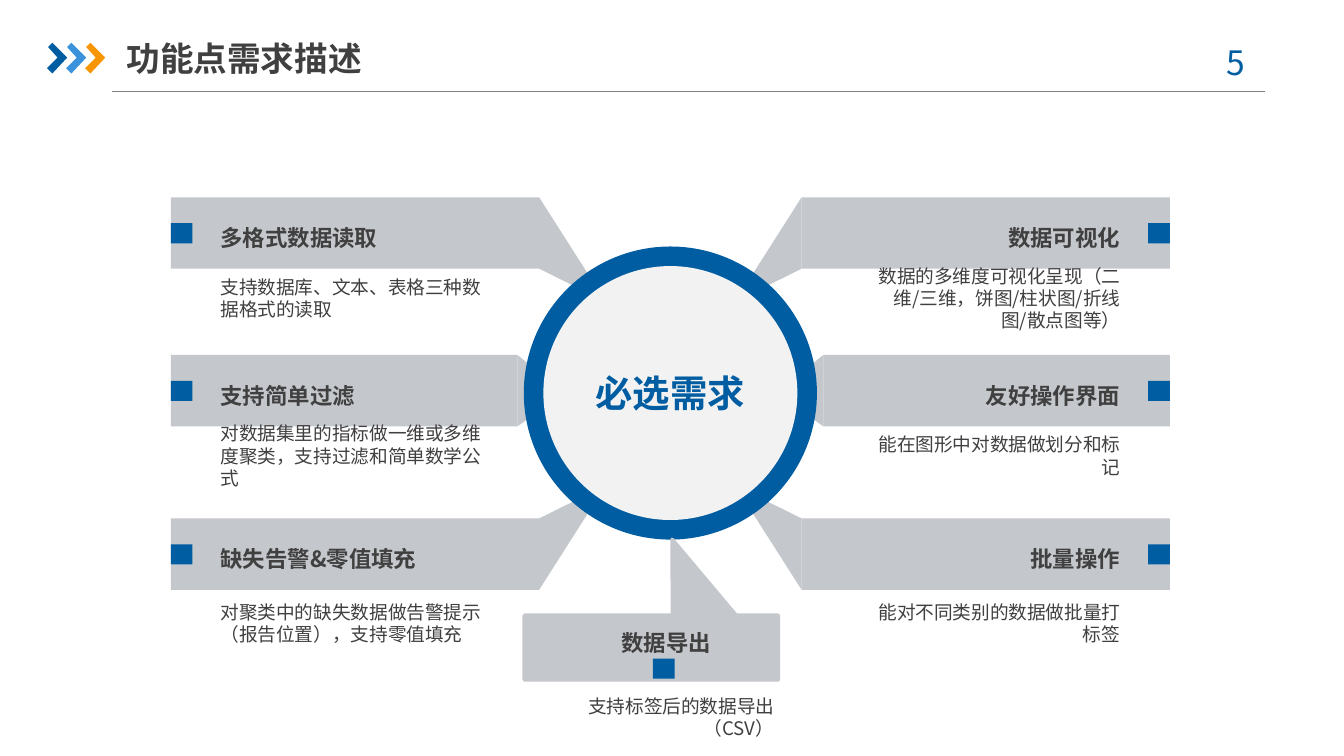
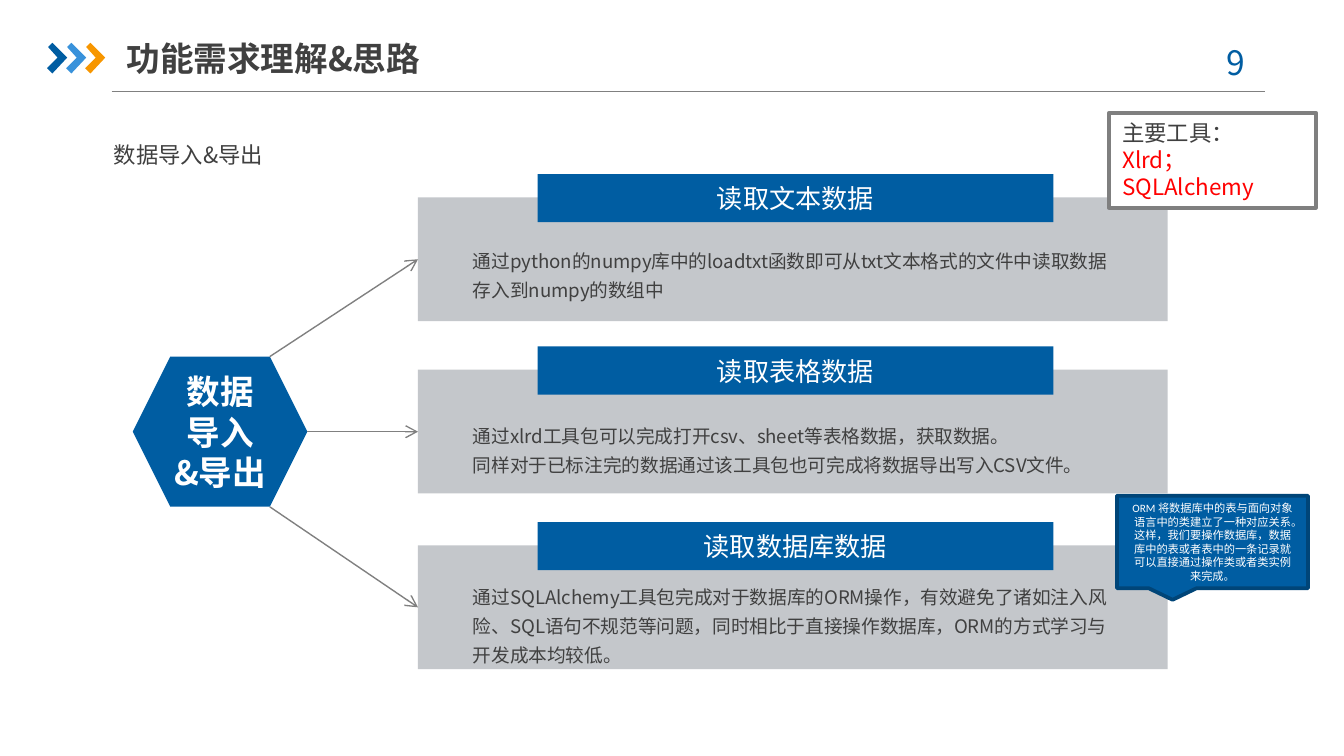
import pptx
import pptx.dml.color
import pptx.enum.shapes
import pptx.enum.text
import pptx.oxml.ns
import pptx.util
from lxml import etree

Cm, Pt = pptx.util.Cm, pptx.util.Pt
SHAPE = pptx.enum.shapes.MSO_SHAPE
ALIGN = pptx.enum.text.PP_ALIGN
ANCHOR = pptx.enum.text.MSO_ANCHOR
qn = pptx.oxml.ns.qn

COLORS = {
    "blue": "005DA2", "sky": "3992DB", "orange": "F79600", "navy": "004578",
    "silver": "C4C7CB", "pale": "F2F2F2", "ink": "404040", "rule": "808080",
    "frame": "7F7F7F", "red": "FF0000", "white": "FFFFFF",
}
FONT = "Noto Sans CJK SC"
FLUSH = (0, 0.13, 0, 0.13)
TIGHT = (0.05, 0.1, 0.05, 0.1)
SNUG = (0.2, 0.1, 0.2, 0.1)
ROOMY = (0.25, 0.13, 0.25, 0.13)

AXIS = 12.67  # vertical line the requirement map is mirrored on
BAR_LEFT, BAR_HEIGHT = 3.23, 1.35
MARK = (0.41, 0.38)
UPPER_WING = [(0, 0), (1.07, 1.68), (0.91, 1.8), (0, BAR_HEIGHT)]
MIDDLE_WING = [(0, 0), (0.71, 0.58), (0.71, 0.84), (0, BAR_HEIGHT)]
LOWER_WING = [(x, BAR_HEIGHT - y) for x, y in UPPER_WING]

# top, bar width, wing, offset of the detail, left and right (heading, detail)
REQUIREMENTS = [
    (3.73, 6.96, UPPER_WING, 1.73,
     ("多格式数据读取", "支持数据库、文本、表格三种数据格式的读取"),
     ("数据可视化", "数据的多维度可视化呈现（二维/三维，饼图/柱状图/折线图/散点图等）")),
    (6.71, 6.55, MIDDLE_WING, 1.73,
     ("支持简单过滤", "对数据集里的指标做一维或多维度聚类，支持过滤和简单数学公式"),
     ("友好操作界面", "能在图形中对数据做划分和标记")),
    (9.8, 6.96, LOWER_WING, 1.8,
     ("缺失告警&零值填充", "对聚类中的缺失数据做告警提示（报告位置），支持零值填充"),
     ("批量操作", "能对不同类别的数据做批量打标签")),
]

# top, offset of the body, heading, body
READERS = [
    (3.73, 0.77, "读取文本数据",
     ["通过python的numpy库中的loadtxt函数即可从txt文本格式的文件中读取数据存入到numpy的数组中"]),
    (6.99, 0.81, "读取表格数据",
     ["通过xlrd工具包可以完成打开csv、sheet等表格数据，获取数据。",
      "同样对于已标注完的数据通过该工具包也可完成将数据导出写入CSV文件。"]),
    (10.31, 0.53, "读取数据库数据",
     ["通过SQLAlchemy工具包完成对于数据库的ORM操作，有效避免了诸如注入风险、SQL语句不规范等问题，"
      "同时相比于直接操作数据库，ORM的方式学习与开发成本均较低。"]),
]


def rgb(name):
    return pptx.dml.color.RGBColor.from_string(COLORS[name])


def cm(box):
    return [Cm(value) for value in box]


def assign(target, values):
    for key, value in values.items():
        setattr(target, key, value)


def paint(shape, fill, line=None):
    shape.shadow.inherit = False
    shape.fill.solid()
    shape.fill.fore_color.rgb = rgb(fill)
    if line:
        shape.line.color.rgb = rgb(line)
        shape.line.width = Pt(2)
    else:
        shape.line.fill.background()
    return shape


def add_preset(slide, kind, box, fill, line=None):
    return paint(slide.shapes.add_shape(kind, *cm(box)), fill, line)


def add_outline(slide, left, top, points, fill):
    corners = [(Cm(left + x), Cm(top + y)) for x, y in points]
    builder = slide.shapes.build_freeform(*corners[0], scale=1.0)
    builder.add_line_segments(corners[1:], close=True)
    return paint(builder.convert_to_shape(), fill)


def write(shape, lines, size, color="ink", bold=False, font=FONT, insets=ROOMY,
          anchor=ANCHOR.TOP, line_colors=None, **paragraph_format):
    """Fill a shape or text box, one paragraph for each line."""
    frame = shape.text_frame
    sides = ("margin_left", "margin_top", "margin_right", "margin_bottom")
    assign(frame, dict(zip(sides, cm(insets)), word_wrap=True, vertical_anchor=anchor))
    for index, line in enumerate(lines):
        paragraph = frame.paragraphs[0] if index == 0 else frame.add_paragraph()
        assign(paragraph, {"alignment": ALIGN.LEFT, **paragraph_format})
        run = paragraph.add_run()
        run.text = line
        run.font.color.rgb = rgb(line_colors[index] if line_colors else color)
        assign(run.font, {"size": Pt(size), "bold": bold, "name": font})
        etree.SubElement(run._r.get_or_add_rPr(), qn("a:ea"), typeface=FONT)


def add_text(slide, box, lines, size, **style):
    write(slide.shapes.add_textbox(*cm(box)), lines, size, **style)


def add_rule(slide, start, end, arrow=False):
    line = slide.shapes.add_connector(
        pptx.enum.shapes.MSO_CONNECTOR.STRAIGHT, *cm(start + end))
    line.line.color.rgb = rgb("rule")
    line.line.width = Pt(0.75)
    if arrow:
        etree.SubElement(line.line._get_or_add_ln(), qn("a:tailEnd"), type="arrow")
    etree.SubElement(line._element.spPr, qn("a:effectLst"))
    return line


def add_header(slide, title, number):
    chevron = [(0.02, 0.08), (0.1, 0), (0.38, 0.28), (0.1, 0.58), (0, 0.48), (0.2, 0.28)]
    add_rule(slide, (2.11, 1.73), (23.9, 1.73))
    for index, color in enumerate(("blue", "sky", "orange")):
        add_outline(slide, 0.89 + 0.36 * index, 0.81, chevron, color)
    add_text(slide, (22.5, 0.66, 1.85, 1.02), [f"{number} "], 18, color="blue",
             alignment=ALIGN.CENTER)
    add_text(slide, (2.39, 0.56, 5.92, 1.07), [title], 18, bold=True, insets=FLUSH,
             anchor=ANCHOR.MIDDLE)


def add_heading(slide, box, heading, alignment):
    add_text(slide, box, [heading], 12, bold=True, insets=FLUSH,
             alignment=alignment, space_before=Pt(2.4))


def add_detail(slide, box, detail, alignment):
    add_text(slide, box, [detail], 10, insets=FLUSH, anchor=ANCHOR.MIDDLE,
             alignment=alignment, space_before=Pt(2))


def add_requirement(slide, top, bar_width, wing, detail_offset, texts, on_right):
    """Place one arm of the map; the right side mirrors the left one."""
    def place(left, offset, width, height):
        if on_right:
            left = 2 * AXIS - left - width
        return left, top + offset, width, height

    alignment = ALIGN.RIGHT if on_right else ALIGN.LEFT
    heading, detail = texts
    add_preset(slide, SHAPE.RECTANGLE, place(BAR_LEFT, 0, bar_width, BAR_HEIGHT), "silver")
    joint = place(BAR_LEFT + bar_width, 0, 0, 0)[0]
    side = -1 if on_right else 1
    add_outline(slide, joint, top, [(side * x, y) for x, y in wing], "silver")
    add_preset(slide, SHAPE.RECTANGLE, place(BAR_LEFT, 0.49, *MARK), "blue")
    add_heading(slide, place(4.17, 0.38, 5.44, 0.79), heading, alignment)
    detail_width = 4.67 if on_right else 4.93
    add_detail(slide, place(4.17, detail_offset, detail_width, 0.35), detail, alignment)


def add_hub(slide, center_x, center_y):
    def disc(diameter, fill):
        corner = (center_x - diameter / 2, center_y - diameter / 2)
        return add_preset(slide, SHAPE.OVAL, corner + (diameter, diameter), fill)

    disc(5.54, "blue")
    write(disc(4.8, "pale"), ["必选需求"], 20, color="blue", bold=True,
          anchor=ANCHOR.MIDDLE, alignment=ALIGN.CENTER)


def add_export(slide, left, top, width, height):
    callout = add_preset(slide, SHAPE.RECTANGULAR_CALLOUT, (left, top, width, height),
                         "silver", "silver")
    callout.rotation = 180
    callout.adjustments[0], callout.adjustments[1] = -0.082, 1.676
    add_heading(slide, (left - 1.91, top + 0.13, 5.44, 0.79), "数据导出", ALIGN.RIGHT)
    add_preset(slide, SHAPE.RECTANGLE, (left + 2.43, top + 0.82, *MARK), "blue")
    add_detail(slide, (left + 0.05, top + 1.76, 4.67, 0.33),
               "支持标签后的数据导出（CSV）", ALIGN.RIGHT)


def add_reader(slide, left, top, body_offset, heading, body):
    """Place one card with its banner and return the card."""
    card = add_preset(slide, SHAPE.RECTANGLE, (left, top, 14.17, 2.34), "silver")
    banner = add_preset(slide, SHAPE.RECTANGLE, (left + 2.26, top - 0.44, 9.75, 0.91), "blue")
    write(banner, [heading], 14, color="white", insets=SNUG, anchor=ANCHOR.MIDDLE,
          alignment=ALIGN.CENTER)
    add_text(slide, (left + 0.84, top + body_offset, 12.6, 1.3), body, 10, insets=SNUG,
             line_spacing=1.3)
    return card


def add_source(slide, left, top, width, height, cards):
    """Place the hexagon and point an arrow from it to each card."""
    hexagon = add_preset(slide, SHAPE.HEXAGON, (left, top, width, height), "blue")
    write(hexagon, ["数据", "导入", "&导出"], 18, color="white", bold=True, insets=TIGHT,
          anchor=ANCHOR.MIDDLE, alignment=ALIGN.CENTER)
    corner = left + width - height / 4
    starts = [(corner, top), (left + width, top + height / 2), (corner, top + height)]
    for start, card in zip(starts, cards):
        add_rule(slide, start, start, arrow=True).end_connect(card, 1)


def add_tools(slide, box):
    write(add_preset(slide, SHAPE.RECTANGLE, box, "white", "frame"),
          ["主要工具：", "Xlrd；", "SQLAlchemy"], 12, line_colors=("ink", "red", "red"))


def add_orm_note(slide, box):
    note = ("ORM 将数据库中的表与面向对象语言中的类建立了一种对应关系。这样，我们要操作数据库，"
            "数据库中的表或者表中的一条记录就可以直接通过操作类或者类实例来完成。")
    write(add_preset(slide, SHAPE.RECTANGULAR_CALLOUT, box, "blue", "navy"), [note], 6,
          color="white", font="Calibri", anchor=ANCHOR.MIDDLE, alignment=ALIGN.CENTER)


def build_requirements(slide):
    add_header(slide, "功能点需求描述", 5)
    for *layout, left_texts, right_texts in REQUIREMENTS:
        add_requirement(slide, *layout, left_texts, on_right=False)
        add_requirement(slide, *layout, right_texts, on_right=True)
    add_hub(slide, AXIS, 7.43)
    add_export(slide, 9.91, 11.63, 4.8, 1.22)


def build_approach(slide):
    add_header(slide, "功能需求理解&思路", 9)
    cards = [add_reader(slide, 7.9, *reader) for reader in READERS]
    add_source(slide, 2.51, 6.74, 3.3, 2.84, cards)
    add_tools(slide, (20.96, 2.13, 3.91, 1.8))
    add_orm_note(slide, (21.11, 9.37, 3.61, 1.75))
    add_text(slide, (1.9, 2.54, 3.91, 0.76), ["数据导入&导出"], 12)


def main():
    deck = pptx.Presentation()
    assign(deck, {"slide_width": Cm(25.4), "slide_height": Cm(14.29)})
    for build in (build_requirements, build_approach):
        build(deck.slides.add_slide(deck.slide_layouts[6]))
    deck.save("out.pptx")


if __name__ == "__main__":
    main()
